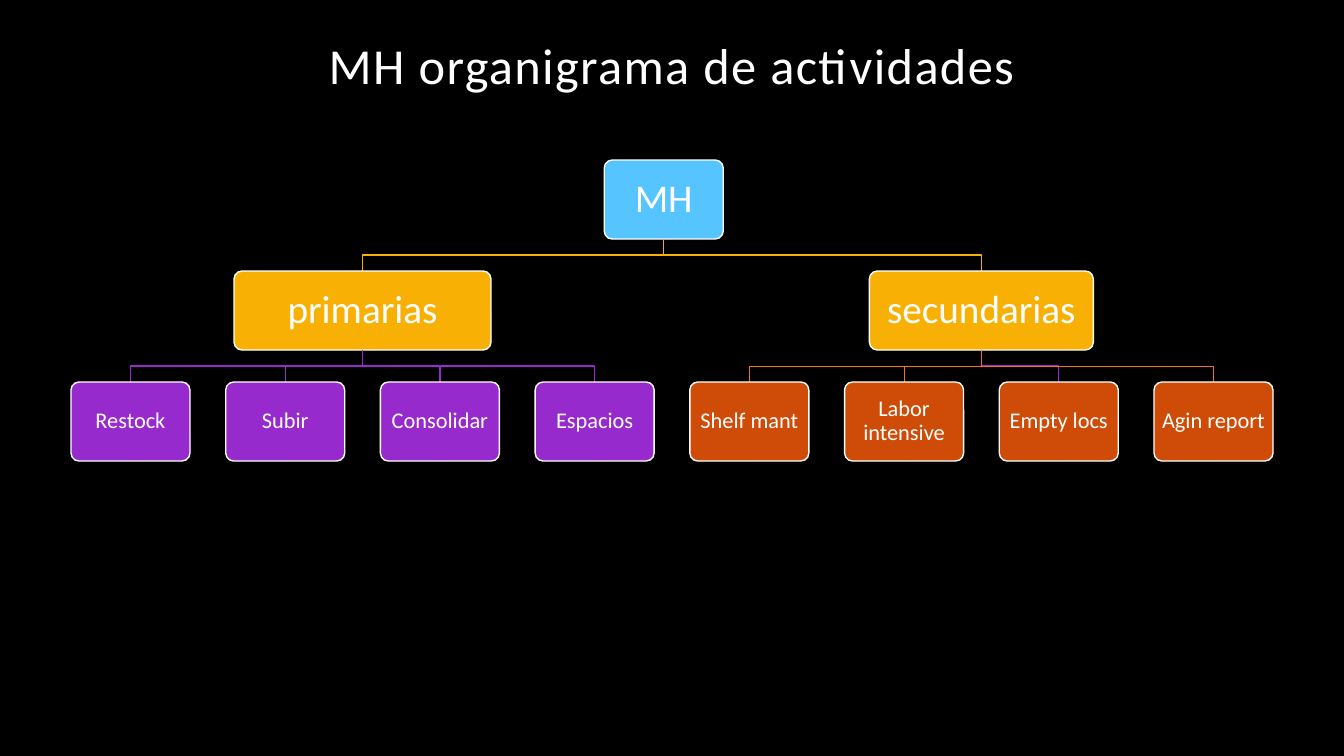
from dataclasses import dataclass

from pptx import Presentation
from pptx.dml.color import RGBColor
from pptx.enum.shapes import MSO_SHAPE as Shape
from pptx.enum.text import MSO_ANCHOR as Anchor, MSO_AUTO_SIZE as AutoSize, PP_ALIGN as Align
from pptx.util import Pt

EMU_PER_PX = 914400 / 100.8
FONT = "Calibri"
BLACK = RGBColor(0x00, 0x00, 0x00)
WHITE = RGBColor(0xFF, 0xFF, 0xFF)
BLUE = RGBColor(0x56, 0xC5, 0xFF)
AMBER = RGBColor(0xF8, 0xB0, 0x04)
PURPLE = RGBColor(0x97, 0x2A, 0xCD)
RUST = RGBColor(0xCE, 0x4C, 0x07)
ORANGE = RGBColor(0xF8, 0x6E, 0x24)

# Chart measures in px
BOX_WIDTH, BOX_HEIGHT, LEVEL_GAP = 119, 79, 32
LEVEL_STEP = BOX_HEIGHT + LEVEL_GAP

# Branch: name, box width, leaf fill, leaves as (name, line colour, line width)
BRANCHES = [
    ("primarias", 257, PURPLE, [
        ("Restock", PURPLE, 1), ("Subir", PURPLE, 1),
        ("Consolidar", PURPLE, 1), ("Espacios", PURPLE, 1)]),
    ("secundarias", 224, RUST, [
        ("Shelf mant", ORANGE, 0.5), ("Labor intensive", ORANGE, 0.5),
        ("Empty locs", PURPLE, 1), ("Agin report", ORANGE, 0.5)]),
]


@dataclass
class Box:
    left: float
    top: float
    width: float
    height: float


def px(length):
    return round(length * EMU_PER_PX)


def write_text(shape, text, size, anchor=Anchor.MIDDLE, inset=10, spacing=0):
    frame = shape.text_frame
    frame.word_wrap = True
    frame.auto_size = AutoSize.NONE
    frame.vertical_anchor = anchor
    frame.margin_left = frame.margin_right = px(inset)
    frame.margin_top = frame.margin_bottom = px(5)
    paragraph = frame.paragraphs[0]
    paragraph.alignment = Align.CENTER
    paragraph.line_spacing = 0.9
    run = paragraph.add_run()
    run.text = text
    run.font.name = FONT
    run.font.size = Pt(size)
    run.font.color.rgb = WHITE
    if spacing:
        run._r.get_or_add_rPr().set("spc", str(spacing * 100))


def add_node(slide, text, center, top, fill, width=BOX_WIDTH, size=28, inset=10):
    node = slide.shapes.add_shape(Shape.ROUNDED_RECTANGLE, px(center - width / 2), px(top),
                                  px(width), px(BOX_HEIGHT))
    node.adjustments[0] = 0.1
    node.shadow.inherit = False
    node.fill.solid()
    node.fill.fore_color.rgb = fill
    node.line.color.rgb = WHITE
    node.line.width = Pt(1)
    write_text(node, text, size, inset=inset)


def add_elbow(slide, parent_center, child_center, child_top, color, width=1):
    """Draw the stepped line from a parent's bottom to a child's top."""
    start, end = px(parent_center), px(child_center)
    top, middle, bottom = (px(child_top - LEVEL_GAP * part) for part in (1, 0.5, 0))
    builder = slide.shapes.build_freeform(start, top)
    builder.add_line_segments([(start, middle), (end, middle), (end, bottom)], close=False)
    elbow = builder.convert_to_shape()
    elbow.shadow.inherit = False
    elbow.fill.background()
    elbow.line.color.rgb = color
    elbow.line.width = Pt(width)


def add_title(slide, box, text):
    title = slide.shapes.title
    title.left, title.top = px(box.left), px(box.top)
    title.width, title.height = px(box.width), px(box.height)
    write_text(title, text, 36, anchor=Anchor.BOTTOM, spacing=1)


def add_branch(slide, box, root_center, branch):
    """Place one branch over its leaves, spread evenly across the box."""
    name, width, leaf_fill, leaves = branch
    center = box.left + box.width / 2
    step = (box.width - BOX_WIDTH) / (len(leaves) - 1)
    leaf_top = box.top + LEVEL_STEP
    add_elbow(slide, root_center, center, box.top, AMBER)
    add_node(slide, name, center, box.top, AMBER, width=width)
    for index, (leaf, line_color, line_width) in enumerate(leaves):
        leaf_center = box.left + BOX_WIDTH / 2 + index * step
        add_elbow(slide, center, leaf_center, leaf_top, line_color, line_width)
        add_node(slide, leaf, leaf_center, leaf_top, leaf_fill, size=16, inset=5)


def add_chart_tree(slide, box):
    leaf_count = sum(len(branch[3]) for branch in BRANCHES)
    step = (box.width - BOX_WIDTH) / (leaf_count - 1)
    areas, left = [], box.left
    for branch in BRANCHES:
        count = len(branch[3])
        areas.append(Box(left, box.top + LEVEL_STEP, (count - 1) * step + BOX_WIDTH,
                         box.height - LEVEL_STEP))
        left += count * step

    # The root is centred between the outer edges of the branch boxes
    first, last = areas[0], areas[-1]
    outer_left = first.left + (first.width - BRANCHES[0][1]) / 2
    outer_right = last.left + (last.width + BRANCHES[-1][1]) / 2
    root_center = (outer_left + outer_right) / 2
    add_node(slide, "MH", root_center, box.top, BLUE)
    for area, branch in zip(areas, BRANCHES):
        add_branch(slide, area, root_center, branch)


def main():
    presentation = Presentation()
    presentation.slide_width, presentation.slide_height = px(1344), px(756)
    slide = presentation.slides.add_slide(presentation.slide_layouts[5])
    slide.background.fill.solid()
    slide.background.fill.fore_color.rgb = BLACK
    add_title(slide, Box(168, 16, 1008, 84), "MH organigrama de actividades")
    add_chart_tree(slide, Box(71, 160, 1202, 301))
    presentation.save("out.pptx")


if __name__ == "__main__":
    main()
